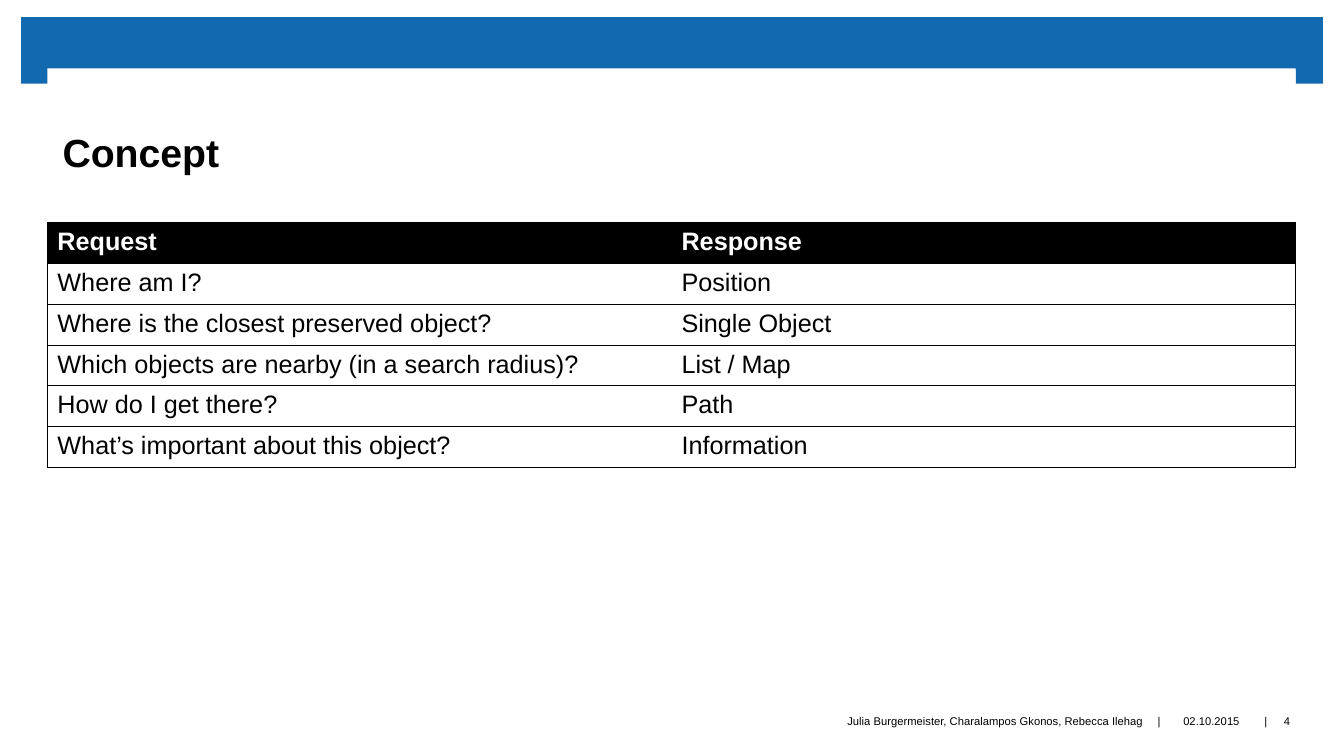
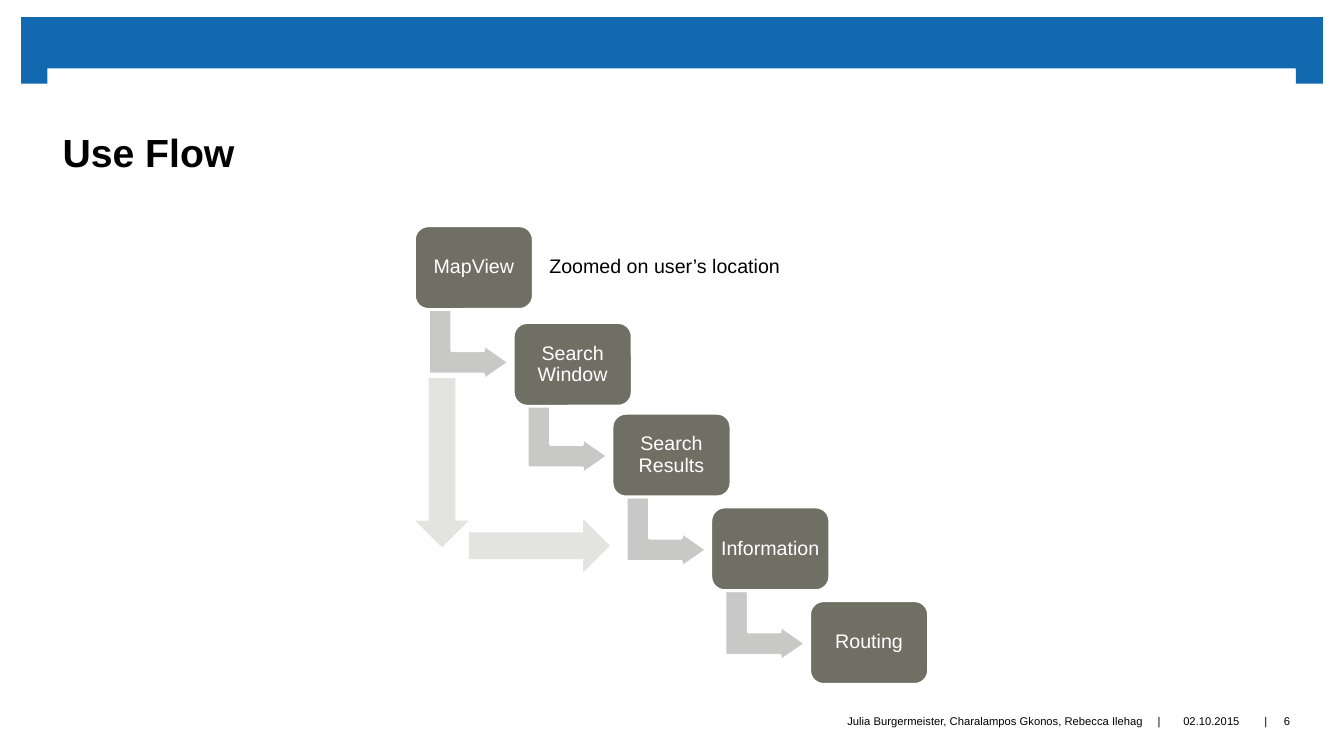
from lxml import etree
from pptx import Presentation
from pptx import util as u
from pptx.dml.color import RGBColor
from pptx.enum import shapes, text
from pptx.oxml.ns import qn

# Shared look
PX = 9144  # 100 px to the inch
WIDE, HIGH = 1333, 750
BLUE, BLACK, WHITE = "1269B0", "000000", "FFFFFF"
BOX, BEND, PALE = "6F6F64", "C8C8C6", "E3E3E0"
FONT = "Arial"
KIND = shapes.MSO_SHAPE
LEFT, MID, RIGHT = text.PP_ALIGN.LEFT, text.PP_ALIGN.CENTER, text.PP_ALIGN.RIGHT
TOP, CENTER, BOTTOM = text.MSO_ANCHOR.TOP, text.MSO_ANCHOR.MIDDLE, text.MSO_ANCHOR.BOTTOM

BANDS = [(21, 17, 1291, 52), (21, 65, 27, 18), (1285, 65, 27, 18)]
TITLE = (47, 68, 1238, 106)
FOOT_Y, FOOT_H = 690, 51
FOOT = [  # left, width, words, alignment
    (666, 468, "Julia Burgermeister, Charalampos Gkonos, Rebecca Ilehag", RIGHT),
    (1142, 15, "|", MID),
    (1157, 89, "02.10.2015", MID),
    (1248, 15, "|", MID),
]
NUMBER = (1257, 39)

# Content
CONCEPT = [
    ("Request", "Response"),
    ("Where am I?", "Position"),
    ("Where is the closest preserved object?", "Single Object"),
    ("Which objects are nearby (in a search radius)?", "List / Map"),
    ("How do I get there?", "Path"),
    ("What’s important about this object?", "Information"),
]
GRID = (47, 221, 1238, 243)

STEPS = [("MapView", 224), ("Search Window", 320), ("Search Results", 410),
         ("Information", 503), ("Routing", 596)]
STEP_X, STEP_W, STEP_H, STEP_DX = 411, 118, 83, 98
BEND_X, BEND_Y, BEND_W, BEND_H, BEND_DY = 430, 302, 70, 80, 93
SKIPS = [(KIND.DOWN_ARROW, (412, 375, 53, 168)),
         (KIND.RIGHT_ARROW, (465, 515, 140, 53))]
NOTE = ("Zoomed on user’s location", (535, 247, 360, 34))


def color(code):
    return RGBColor.from_string(code)


def px(values):
    return [u.Emu(v * PX) for v in values]


def style(item, **values):
    for name, value in values.items():
        setattr(item, name, value)


def paint(item, code):
    item.fill.solid()
    item.fill.fore_color.rgb = color(code)


def write(frame, words, size, ink=BLACK, bold=False, align=LEFT,
          anchor=CENTER, pad=(0, 0, 0, 0)):
    sides = ("margin_left", "margin_top", "margin_right", "margin_bottom")
    style(frame, word_wrap=True, vertical_anchor=anchor, **dict(zip(sides, px(pad))))
    para = frame.paragraphs[0]
    para.alignment = align
    run = para.add_run()
    run.text = words
    style(run.font, name=FONT, size=u.Pt(size), bold=bold)
    run.font.color.rgb = color(ink)
    return para


def label(slide, at, words, size, **form):
    write(slide.shapes.add_textbox(*px(at)).text_frame, words, size, **form)


def shape(slide, kind, at, fill, edge=None):
    item = slide.shapes.add_shape(kind, *px(at))
    item.shadow.inherit = False
    paint(item, fill)
    if edge:
        item.line.color.rgb = color(edge)
        item.line.width = u.Pt(2)
    else:
        item.line.fill.background()
    return item


def border(cell, sides):
    # Border lines come before the fill, in the order L, R, T, B
    props = cell._tc.get_or_add_tcPr()
    for spot, side in enumerate(sides):
        line = etree.Element(qn("a:ln" + side), w=str(u.Pt(0.75)))
        solid = etree.SubElement(line, qn("a:solidFill"))
        etree.SubElement(solid, qn("a:srgbClr"), val=BLACK)
        props.insert(spot, line)


def base(deck, title, number):
    slide = deck.slides.add_slide(deck.slide_layouts[6])
    for at in BANDS:
        shape(slide, KIND.RECTANGLE, at, BLUE)
    for left, width, words, align in FOOT + [(*NUMBER, str(number), MID)]:
        label(slide, (left, FOOT_Y, width, FOOT_H), words, 8, align=align)
    head = shape(slide, KIND.RECTANGLE, TITLE, WHITE)
    write(head.text_frame, title, 28, bold=True, anchor=BOTTOM, pad=(15, 0, 16, 0))
    return slide


def concept(deck):
    slide = base(deck, "Concept", 4)
    table = slide.shapes.add_table(len(CONCEPT), 2, *px(GRID)).table
    # Plain table style without grid
    table._tbl.tblPr[0].text = "{2D5ABB26-0587-4C30-8999-92F81FD0307C}"
    for r, row in enumerate(CONCEPT):
        for c, words in enumerate(row):
            cell = table.cell(r, c)
            head = r == 0
            write(cell.text_frame, words, 18, ink=WHITE if head else BLACK,
                  bold=head, pad=(10, 5, 10, 5))
            cell.vertical_anchor = TOP
            paint(cell, BLACK if head else WHITE)
            border(cell, "LR"[c] + "TB")


def flow(deck):
    slide = base(deck, "Use Flow", 6)
    for i, (words, top) in enumerate(STEPS):
        shift = i * STEP_DX
        # Bent arrow to the next step
        if i < len(STEPS) - 1:
            at = (BEND_X + shift, BEND_Y + i * BEND_DY, BEND_W, BEND_H)
            bend = shape(slide, KIND.BENT_UP_ARROW, at, BEND, WHITE)
            bend.rotation = 90
            for k, value in enumerate((0.33, 0.25, 0.36)):
                bend.adjustments[k] = value
        step = shape(slide, KIND.ROUNDED_RECTANGLE,
                     (STEP_X + shift, top, STEP_W, STEP_H), BOX, WHITE)
        para = write(step.text_frame, words, 14, ink=WHITE, align=MID, pad=(6,) * 4)
        para.line_spacing = 0.9
    # Shortcut and remark
    for kind, at in SKIPS:
        shape(slide, kind, at, PALE)
    words, at = NOTE
    label(slide, at, words, 14, anchor=TOP, pad=(10, 5, 10, 5))


def main():
    deck = Presentation()
    deck.slide_width, deck.slide_height = px((WIDE, HIGH))
    concept(deck)
    flow(deck)
    deck.save("out.pptx")


if __name__ == "__main__":
    main()
